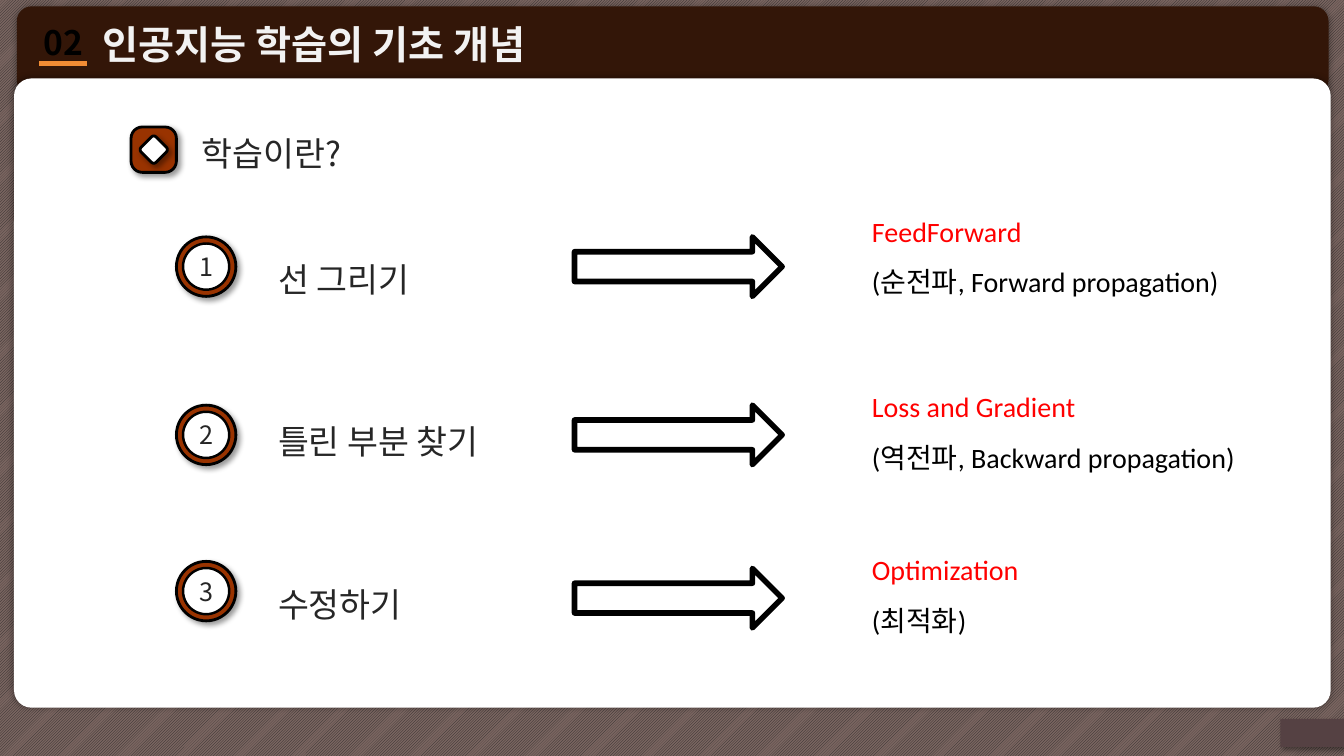
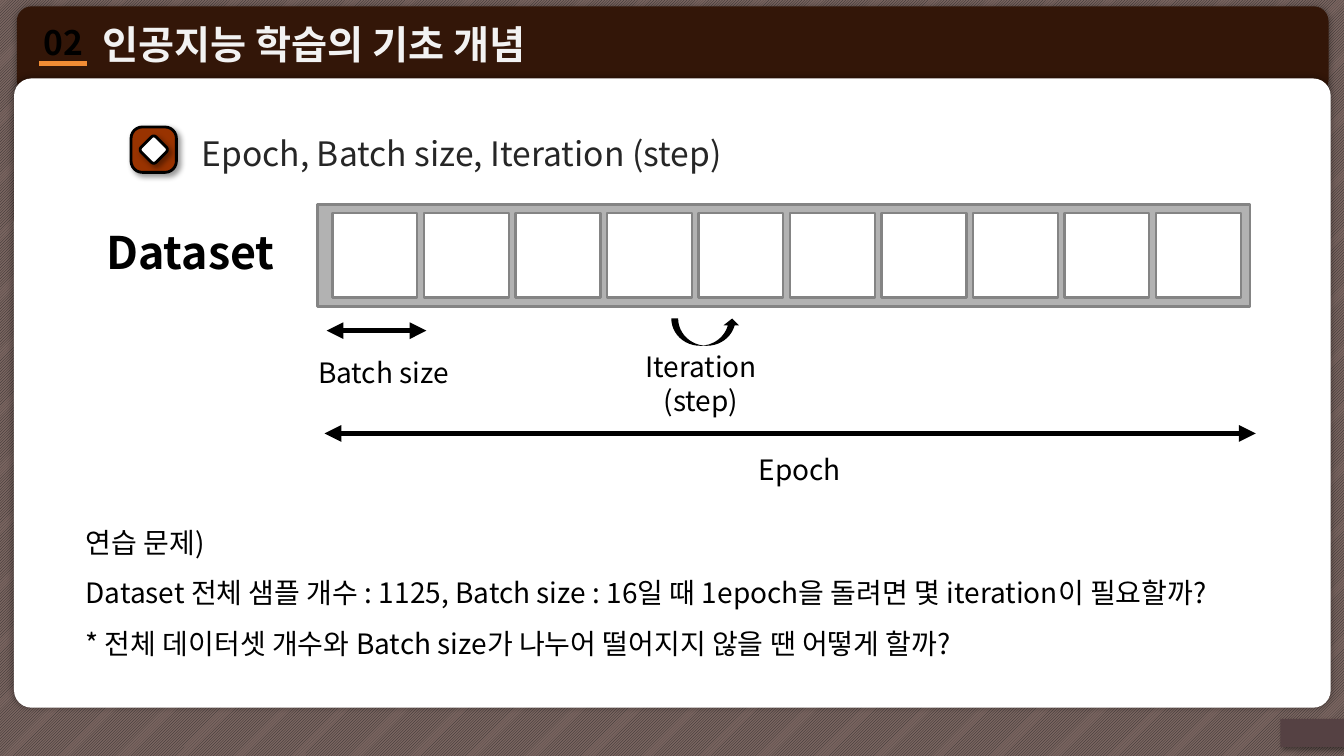
"""Build two slides on the basic ideas of machine learning."""
from lxml.etree import SubElement
from pptx import Presentation
from pptx.dml.color import RGBColor
from pptx.enum.dml import MSO_PATTERN
from pptx.enum.shapes import MSO_CONNECTOR, MSO_SHAPE as SHAPE
from pptx.enum.text import MSO_ANCHOR as ANCHOR, MSO_AUTO_SIZE, PP_ALIGN as ALIGN
from pptx.oxml.ns import qn
from pptx.util import Pt

BLACK = RGBColor(0x00, 0x00, 0x00)
WHITE = RGBColor(0xFF, 0xFF, 0xFF)
INK = RGBColor(0x26, 0x26, 0x26)
TITLE_INK = RGBColor(0xF2, 0xF2, 0xF2)
TAUPE = RGBColor(0x7A, 0x65, 0x60)
COCOA = RGBColor(0x33, 0x16, 0x08)
PLUM = RGBColor(0x55, 0x41, 0x43)
RUST = RGBColor(0x99, 0x33, 0x00)
ORANGE = RGBColor(0xF2, 0x8C, 0x34)
RED = RGBColor(0xFF, 0x00, 0x00)
SILVER = RGBColor(0xB2, 0xB2, 0xB2)
GREY = RGBColor(0x84, 0x84, 0x84)

KOREAN = "Noto Sans CJK KR"
LATIN = "Calibri"
GLOW = (5, 0, 0)
DROP = (4, 3, 45)
TITLE = "인공지능 학습의 기초 개념"

STEPS = [
    ("선 그리기", "FeedForward", "(순전파, Forward propagation)", 169.2, 165.6, 169.2, 136),
    ("틀린 부분 찾기", "Loss and Gradient", "(역전파, Backward propagation)", 289.4, 281.5, 289.4, 261.4),
    ("수정하기", "Optimization", "(최적화)", 401, 397.4, 406, 378),
]
EXERCISE = [
    "연습 문제)",
    "Dataset 전체 샘플 개수 : 1125, Batch size : 16일 때 1epoch을 돌려면 몇 iteration이 필요할까?",
    "* 전체 데이터셋 개수와 Batch size가 나누어 떨어지지 않을 땐 어떻게 할까?",
]
BATCHES = 10
TILE = 60.5
TILE_GAP = 4.86


def points(*lengths):
    """Convert plain numbers to point lengths."""
    return [Pt(length) for length in lengths]


def write(holder, lines, size, colors=(BLACK,), name=KOREAN, bold=False,
          align=ALIGN.LEFT, anchor=ANCHOR.MIDDLE, spacing=None, inset=None, wrap=True):
    """Fill a shape with paragraphs; the last colour serves all remaining lines."""
    frame = holder.text_frame
    frame.word_wrap = wrap
    frame.auto_size = MSO_AUTO_SIZE.NONE
    frame.vertical_anchor = anchor
    if inset is not None:
        frame.margin_left = frame.margin_right = Pt(inset)
        frame.margin_top = frame.margin_bottom = Pt(inset)
    frame.text = "\n".join(lines)
    for index, para in enumerate(frame.paragraphs):
        para.alignment = align
        if spacing:
            para.line_spacing = spacing
        font = para.font
        font.size, font.bold, font.name = Pt(size), bold, name
        font.color.rgb = colors[min(index, len(colors) - 1)]
    for properties in holder.element.iter(qn("a:defRPr")):
        SubElement(properties, qn("a:ea"), typeface=KOREAN)


def add_text(shapes, at, lines, size, **style):
    """Add a text box."""
    box = shapes.add_textbox(*points(*at))
    write(box, lines, size, **style)
    return box


def add_shadow(shape, blur, distance, angle):
    """Give a shape a soft black shadow."""
    effects = shape.element.spPr.find(qn("a:effectLst"))
    shadow = SubElement(effects, qn("a:outerShdw"), blurRad=str(Pt(blur)),
                        dist=str(Pt(distance)), dir=str(angle * 60000),
                        algn="ctr", rotWithShape="0")
    color = SubElement(shadow, qn("a:srgbClr"), val=str(BLACK))
    SubElement(color, qn("a:alpha"), val="40000")


def add_figure(shapes, kind, at, fill, line=None, width=2, adjust=(), shadow=None):
    """Add a preset shape with a plain fill and an optional outline and shadow."""
    figure = shapes.add_shape(kind, *points(*at))
    figure.shadow.inherit = False
    figure.fill.solid()
    figure.fill.fore_color.rgb = fill
    if line is None:
        figure.line.fill.background()
    else:
        figure.line.color.rgb = line
        figure.line.width = Pt(width)
    for index, value in enumerate(adjust):
        figure.adjustments[index] = value
    if shadow:
        add_shadow(figure, *shadow)
    return figure


def add_rule(shapes, left, right, y, color, width, arrows=False):
    """Add a horizontal line, with arrowheads at both ends if asked."""
    rule = shapes.add_connector(MSO_CONNECTOR.STRAIGHT, *points(left, y, right, y))
    rule.line.color.rgb = color
    rule.line.width = Pt(width)
    properties = rule.element.spPr
    if arrows:
        for end in ("a:headEnd", "a:tailEnd"):
            SubElement(properties.find(qn("a:ln")), qn(end), type="triangle")
    SubElement(properties, qn("a:effectLst"))


def dress_layout(layout, page):
    """Draw the shared backdrop and move it to the layout."""
    for holder in list(layout.placeholders):
        if holder.placeholder_format.idx:
            holder.element.getparent().remove(holder.element)
    shapes = page.shapes
    backdrop = add_figure(shapes, SHAPE.RECTANGLE, (0, 0, 960, 540), TAUPE)
    backdrop.fill.patterned()
    backdrop.fill.pattern = MSO_PATTERN.LIGHT_UPWARD_DIAGONAL
    backdrop.fill.fore_color.rgb = INK
    backdrop.fill.back_color.rgb = TAUPE
    for at, fill, corner, shadow in (
            ((12, 4.5, 937, 63), COCOA, 0.168, GLOW),
            ((10, 56, 940.5, 449.5), WHITE, 0.028, GLOW),
            ((914.5, 513.5, 45.5, 20), PLUM, 0, DROP)):
        add_figure(shapes, SHAPE.ROUNDED_RECTANGLE, at, fill, adjust=[corner], shadow=shadow)
    add_rule(shapes, 28, 62, 45.4, ORANGE, 3)
    add_text(shapes, (22.3, 12.2, 46, 36), ["02"], 24, bold=True,
             align=ALIGN.CENTER, anchor=ANCHOR.TOP, wrap=False)
    for part in list(shapes):
        if not part.is_placeholder:
            layout.shapes.element.append(part.element)


def add_opening(page, heading):
    """Set the slide title and the heading with its diamond bullet."""
    title = page.shapes.title
    title.left, title.top, title.width, title.height = points(68.4, 10, 619, 43)
    write(title, [TITLE], 28, colors=[TITLE_INK], bold=True, inset=5)
    add_text(page.shapes, (139, 90, 680, 39), [heading], 24, colors=[INK], inset=5)
    bullet = page.shapes.add_group_shape().shapes
    add_figure(bullet, SHAPE.ROUNDED_RECTANGLE, (93.6, 90.7, 32.4, 32.4), RUST, BLACK,
               adjust=[0.249], shadow=DROP)
    diamond = add_figure(bullet, SHAPE.ROUNDED_RECTANGLE, (102.2, 99.3, 15.2, 15.2),
                         WHITE, BLACK, adjust=[0.153], shadow=DROP)
    diamond.rotation = 45


def add_step(page, number, label, term, detail, badge_y, label_y, arrow_y, note_y):
    """Add a numbered step, its arrow and the matching technical term."""
    step = page.shapes.add_group_shape().shapes
    add_text(step, (193.7, label_y, 210, 42.5), [label], 24, colors=[INK],
             anchor=ANCHOR.TOP, spacing=1.5, inset=5)
    add_figure(step, SHAPE.OVAL, (126, badge_y, 42.5, 42.5), RUST, BLACK, shadow=DROP)
    badge = add_figure(step, SHAPE.OVAL, (130.75, badge_y + 4.75, 33, 33), WHITE, BLACK, 1.75)
    write(badge, [str(number)], 18, colors=[INK], align=ALIGN.CENTER)
    add_figure(page.shapes, SHAPE.RIGHT_ARROW, (410.4, arrow_y, 148.3, 42.5), WHITE, BLACK, 4)
    add_text(page.shapes, (617.8, note_y, 342, 82), [term, detail], 20, colors=[RED, BLACK],
             name=LATIN, anchor=ANCHOR.TOP, spacing=1.5, inset=5)


def add_dataset(page):
    """Add the data set bar with its equal batches."""
    bar = page.shapes.add_group_shape().shapes
    add_figure(bar, SHAPE.RECTANGLE, (226.8, 146.2, 666, 72.7), SILVER, GREY, 1.75)
    for index in range(BATCHES):
        left = 237.6 + index * (TILE + TILE_GAP)
        add_figure(bar, SHAPE.RECTANGLE, (left, 152, TILE, TILE), WHITE, GREY, 1.75)


def add_measures(page):
    """Add the arrows and captions around the data set bar."""
    shapes = page.shapes
    add_rule(shapes, 233.3, 304.6, 236.2, BLACK, 4, arrows=True)
    add_rule(shapes, 231.8, 897, 309.6, BLACK, 4, arrows=True)
    add_figure(shapes, SHAPE.CURVED_UP_ARROW, (479.5, 227.5, 49, 19.5), BLACK,
               adjust=[0.25, 0.566, 0.25])
    for caption, left, top, height in (
            ("Batch size", 209.5, 249.8, 31.7),
            ("Epoch", 506.9, 319.7, 31.7),
            ("Iteration (step)", 436.3, 246.2, 55.4)):
        add_text(shapes, (left, top, 128.9, height), [caption], 20, align=ALIGN.CENTER)
    add_text(shapes, (54, 157, 164, 46), ["Dataset"], 32, bold=True, align=ALIGN.CENTER)


def main():
    """Build and save the deck."""
    deck = Presentation()
    deck.slide_width, deck.slide_height = points(960, 540)
    layout = deck.slide_layouts[5]

    page = deck.slides.add_slide(layout)
    dress_layout(layout, page)
    add_opening(page, "학습이란?")
    for number, step in enumerate(STEPS, 1):
        add_step(page, number, *step)

    page = deck.slides.add_slide(layout)
    add_opening(page, "Epoch, Batch size, Iteration (step)")
    add_dataset(page)
    add_measures(page)
    add_text(page.shapes, (54, 361.5, 900, 111.5), EXERCISE, 20, spacing=1.5)

    deck.save("out.pptx")


if __name__ == "__main__":
    main()
